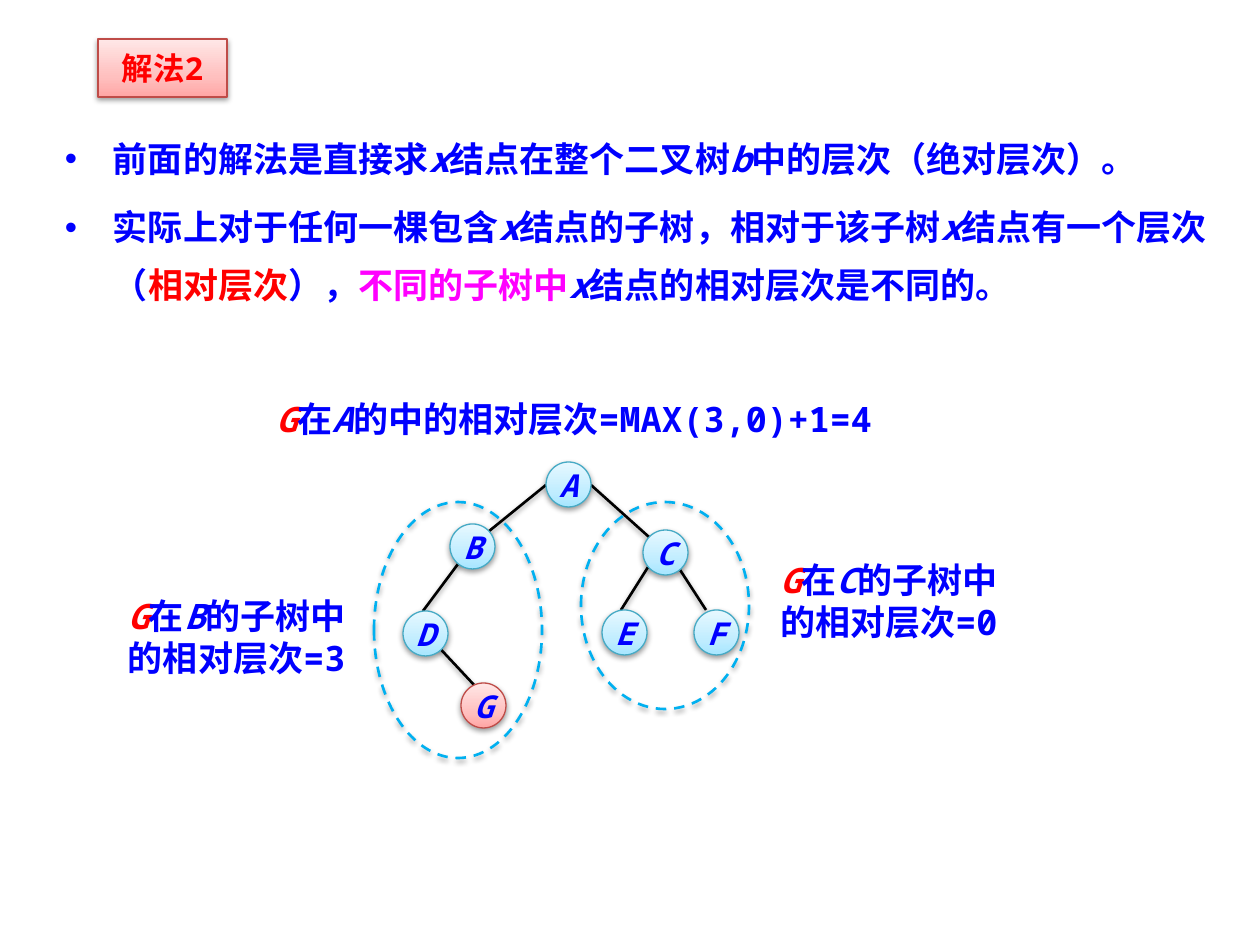
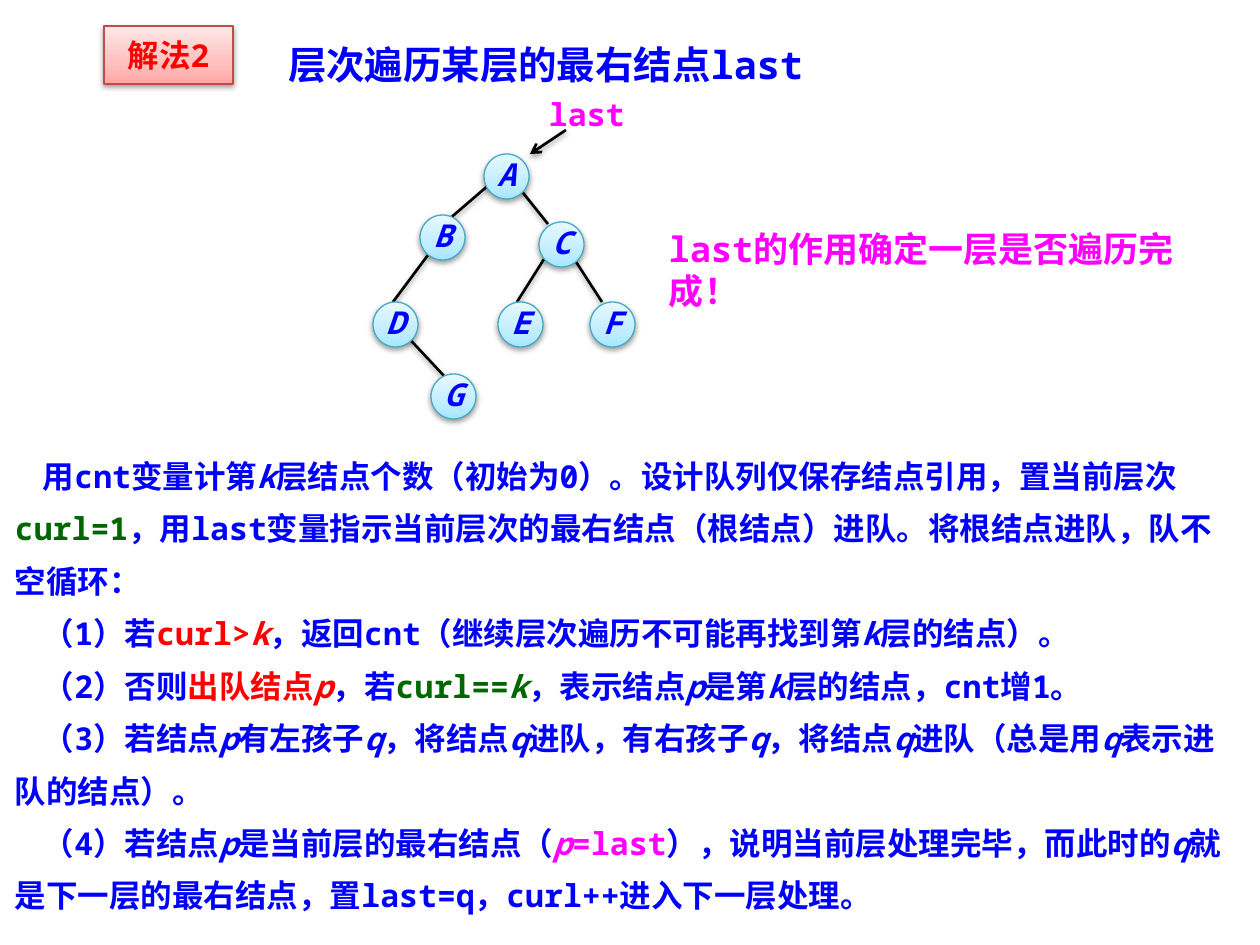
from copy import deepcopy

from lxml import etree
from pptx import Presentation
from pptx.dml.color import RGBColor
from pptx.enum.dml import MSO_LINE
from pptx.enum.shapes import MSO_CONNECTOR, MSO_SHAPE
from pptx.enum.text import MSO_ANCHOR, MSO_AUTO_SIZE, PP_ALIGN
from pptx.oxml.ns import qn
from pptx.util import Pt

RECTANGLE, ELLIPSE = MSO_SHAPE.RECTANGLE, MSO_SHAPE.OVAL
STRAIGHT = MSO_CONNECTOR.STRAIGHT
DASH = MSO_LINE.DASH
TOP, MIDDLE = MSO_ANCHOR.TOP, MSO_ANCHOR.MIDDLE
LEFT, CENTER = PP_ALIGN.LEFT, PP_ALIGN.CENTER
NO_AUTOFIT = MSO_AUTO_SIZE.NONE
TITLE_ONLY = 5

EMU_PER_PX = 914400 / 126
FONT = "Noto Sans Mono"
BLUE, RED, MAGENTA, GREEN = "0000FF", "FF0000", "FF00FF", "006600"
BLACK, WHITE, SKY = "000000", "FFFFFF", "00B0F0"

# Gradient stops from bottom to top, and outline
STOP_POSITIONS = (0, 0.35, 1)
PINK_STYLE = (("FFA6A5", "FFC0BF", "FFE7E7"), "BF4C48")
CYAN_STYLE = (("A7E6FF", "C1EDFF", "E7F8FF"), "46AAC5")

# Nodes and edges of each subtree, measured from its root
NODE_SIZE = 45
LEFT_NODES = {"B": (0, 0), "D": (-47, 87), "G": (11, 159)}
LEFT_EDGES = [(14, 32, -27, 87), (-17, 117, 26, 163)]
RIGHT_NODES = {"C": (0, 0), "E": (-41, 80), "F": (51, 80)}
RIGHT_EDGES = [(7, 34, -22, 80), (30, 29, 63, 80)]


def px(length):
    return round(length * EMU_PER_PX)


def rgb(color):
    return RGBColor.from_string(color)


def add_element(parent, tag, **attributes):
    element = etree.SubElement(parent, qn(tag))
    for name, value in attributes.items():
        element.set(name, str(value))
    return element


def add_shadow(shape):
    """Soft shadow below; call after fill and line are set."""
    effects = add_element(shape._element.spPr, "a:effectLst")
    outer = add_element(effects, "a:outerShdw", blurRad=40000, dist=20000,
                        dir=5400000, rotWithShape=0)
    color = add_element(outer, "a:srgbClr", val=BLACK)
    add_element(color, "a:alpha", val=38000)


def style_gradient(shape, style):
    colors, outline = style
    shape.fill.gradient()
    shape.fill.gradient_angle = 90
    stop_list = shape._element.spPr.find(".//" + qn("a:gsLst"))
    stop_list.insert(1, deepcopy(stop_list[0]))
    for stop, position, color in zip(shape.fill.gradient_stops, STOP_POSITIONS, colors):
        stop.position = position
        stop.color.rgb = rgb(color)
    shape.line.color.rgb = rgb(outline)
    shape.line.width = Pt(0.75)
    add_shadow(shape)


def place(shape, left, top, width, height):
    shape.left, shape.top, shape.width, shape.height = map(px, (left, top, width, height))


def add_runs(paragraph, pieces):
    """A piece is text or (text, colour); *stars* enclose italics."""
    for piece in pieces:
        text, color = (piece, None) if isinstance(piece, str) else piece
        for index, part in enumerate(text.split("*")):
            if part:
                run = paragraph.add_run()
                run.text = part
                if index % 2:
                    run.font.italic = True
                if color:
                    run.font.color.rgb = rgb(color)


def write(shape, paragraphs, size, color=BLUE, align=LEFT, anchor=TOP, insets=(13, 6),
          spacing=None, space_before=0, bullet=False, first_indent=0):
    frame = shape.text_frame
    frame.word_wrap = True
    frame.auto_size = NO_AUTOFIT
    frame.vertical_anchor = anchor
    frame.margin_left = frame.margin_right = px(insets[0])
    frame.margin_top = frame.margin_bottom = px(insets[1])
    for index, pieces in enumerate(paragraphs):
        paragraph = frame.add_paragraph() if index else frame.paragraphs[0]
        paragraph.alignment = align
        if spacing:
            paragraph.line_spacing = Pt(spacing)
        if index and space_before:
            paragraph.space_before = Pt(space_before)
        properties = paragraph._p.get_or_add_pPr()
        if bullet:
            properties.set("marL", str(px(48)))
            properties.set("indent", str(px(-48)))
            add_element(properties, "a:buFont", typeface="Arial")
            add_element(properties, "a:buChar", char="•")
        elif first_indent:
            properties.set("indent", str(px(first_indent)))
        font = paragraph.font
        font.size, font.bold, font.name = Pt(size), True, FONT
        font.color.rgb = rgb(color)
        add_element(properties.find(qn("a:defRPr")), "a:ea", typeface=FONT)
        add_runs(paragraph, pieces)


def add_text(slide, box, paragraphs, size=20, **options):
    shape = slide.shapes.add_textbox(*map(px, box))
    write(shape, paragraphs, size, **options)
    return shape


def format_badge(shape, left, top):
    place(shape, left, top, 129, 58)
    style_gradient(shape, PINK_STYLE)
    write(shape, [["解法2"]], 18, color=RED, align=CENTER, anchor=MIDDLE, insets=(13, 10))


def add_edge(slide, points, arrow=False):
    edge = slide.shapes.add_connector(STRAIGHT, *map(px, points))
    edge.line.color.rgb = rgb(BLACK)
    edge.line.width = Pt(1.5)
    if arrow:
        add_element(edge.line._get_or_add_ln(), "a:tailEnd", type="arrow")
    add_shadow(edge)


def add_node(slide, letter, left, top, style, spacing):
    node = slide.shapes.add_shape(ELLIPSE, *map(px, (left, top, NODE_SIZE, NODE_SIZE)))
    style_gradient(node, style)
    write(node, [[f"*{letter}*"]], 18, align=CENTER, anchor=MIDDLE,
          insets=(0, 0), spacing=spacing)


def add_tree(slide, root, left_root, right_root, root_edges, target=None, spacing=None):
    subtrees = [(left_root, LEFT_NODES, LEFT_EDGES), (right_root, RIGHT_NODES, RIGHT_EDGES)]
    nodes = {"A": root}
    edges = list(root_edges)
    for (x, y), members, links in subtrees:
        nodes.update({letter: (x + dx, y + dy) for letter, (dx, dy) in members.items()})
        edges += [(x + x1, y + y1, x + x2, y + y2) for x1, y1, x2, y2 in links]
    for points in edges:
        add_edge(slide, points)
    for letter, (left, top) in nodes.items():
        style = PINK_STYLE if letter == target else CYAN_STYLE
        add_node(slide, letter, left, top, style, spacing)


def add_subtree_outline(slide, box):
    outline = slide.shapes.add_shape(ELLIPSE, *map(px, box))
    outline.fill.background()
    outline.line.color.rgb = rgb(SKY)
    outline.line.width = Pt(1.5)
    outline.line.dash_style = DASH
    add_shadow(outline)


def build_relative_level_slide(presentation):
    slide = presentation.slides.add_slide(presentation.slide_layouts[TITLE_ONLY])
    format_badge(slide.shapes.title, 98, 39)
    add_text(slide, (52, 116, 1169, 193), [
        ["前面的解法是直接求*x*结点在整个二叉树*b*中的层次（绝对层次）。"],
        ["实际上对于任何一棵包含*x*结点的子树，相对于该子树*x*结点有一个层次（",
         ("相对层次", RED), "），", ("不同的子树中", MAGENTA),
         "*x*结点的相对层次是不同的。"],
    ], spacing=33, space_before=6, bullet=True)

    # Tree with both subtrees circled
    add_tree(slide, (546, 462), (450, 524), (643, 530),
             [(546, 485, 488, 532), (591, 485, 649, 537)], target="G")
    add_subtree_outline(slide, (374, 502, 168, 256))
    add_subtree_outline(slide, (581, 502, 168, 207))

    # Level of G within each tree
    for box, statement in [
        ((115, 588, 251, 97), "在*B*的子树中的相对层次=3"),
        ((767, 552, 260, 97), "在*C*的子树中的相对层次=0"),
        ((263, 391, 722, 55), "在*A*的中的相对层次=MAX(3,0)+1=4"),
    ]:
        add_text(slide, box, [[("*G*", RED), statement]])


def build_last_node_slide(presentation):
    slide = presentation.slides.add_slide(presentation.slide_layouts[TITLE_ONLY])
    title = slide.shapes.title
    place(title, 275, 35, 633, 59)
    write(title, [["层次遍历某层的最右结点last"]], 22)
    format_badge(slide.shapes.add_shape(RECTANGLE, 0, 0, 0, 0), 104, 26)

    # Tree with the pointer to its last node
    add_tree(slide, (484, 154), (420, 215), (539, 222),
             [(505, 171, 440, 227), (520, 189, 548, 224)], spacing=19)
    add_text(slide, (536, 89, 108, 50), [["last"]], 18, color=MAGENTA)
    add_edge(slide, (566, 130, 530, 154), arrow=True)
    add_text(slide, (656, 221, 561, 97), [["last的作用确定一层是否遍历完成！"]], color=MAGENTA)

    # Algorithm steps
    steps = add_text(slide, (-5, 427, 1260, 516), [
        ["用cnt变量计第*k*层结点个数（初始为0）。设计队列仅保存结点引用，置当前层次",
         ("curl=1", GREEN),
         "，用last变量指示当前层次的最右结点（根结点）进队。将根结点进队，队不空循环："],
        ["（1）若", ("curl>*k*", RED),
         "，返回cnt（继续层次遍历不可能再找到第*k*层的结点）。"],
        ["（2）否则", ("出队结点*p*", RED), "，若", ("curl==*k*", GREEN),
         "，表示结点*p*是第*k*层的结点，cnt增1。"],
        ["（3）若结点*p*有左孩子*q*，将结点*q*进队，有右孩子*q*，将结点*q*进队"
         "（总是用*q*表示进队的结点）。"],
        ["（4）若结点*p*是当前层的最右结点（", ("*p*=last", MAGENTA),
         "），说明当前层处理完毕，而此时的*q*就是下一层的最右结点，"
         "置last=q，curl++进入下一层处理。"],
    ], 18, insets=(20, 15), spacing=30, first_indent=28)
    steps.text_frame.margin_right = px(13)
    steps.fill.solid()
    steps.fill.fore_color.rgb = rgb(WHITE)


def main():
    presentation = Presentation()
    presentation.slide_width = px(1260)
    presentation.slide_height = px(945)
    build_relative_level_slide(presentation)
    build_last_node_slide(presentation)
    presentation.save("out.pptx")


if __name__ == "__main__":
    main()
